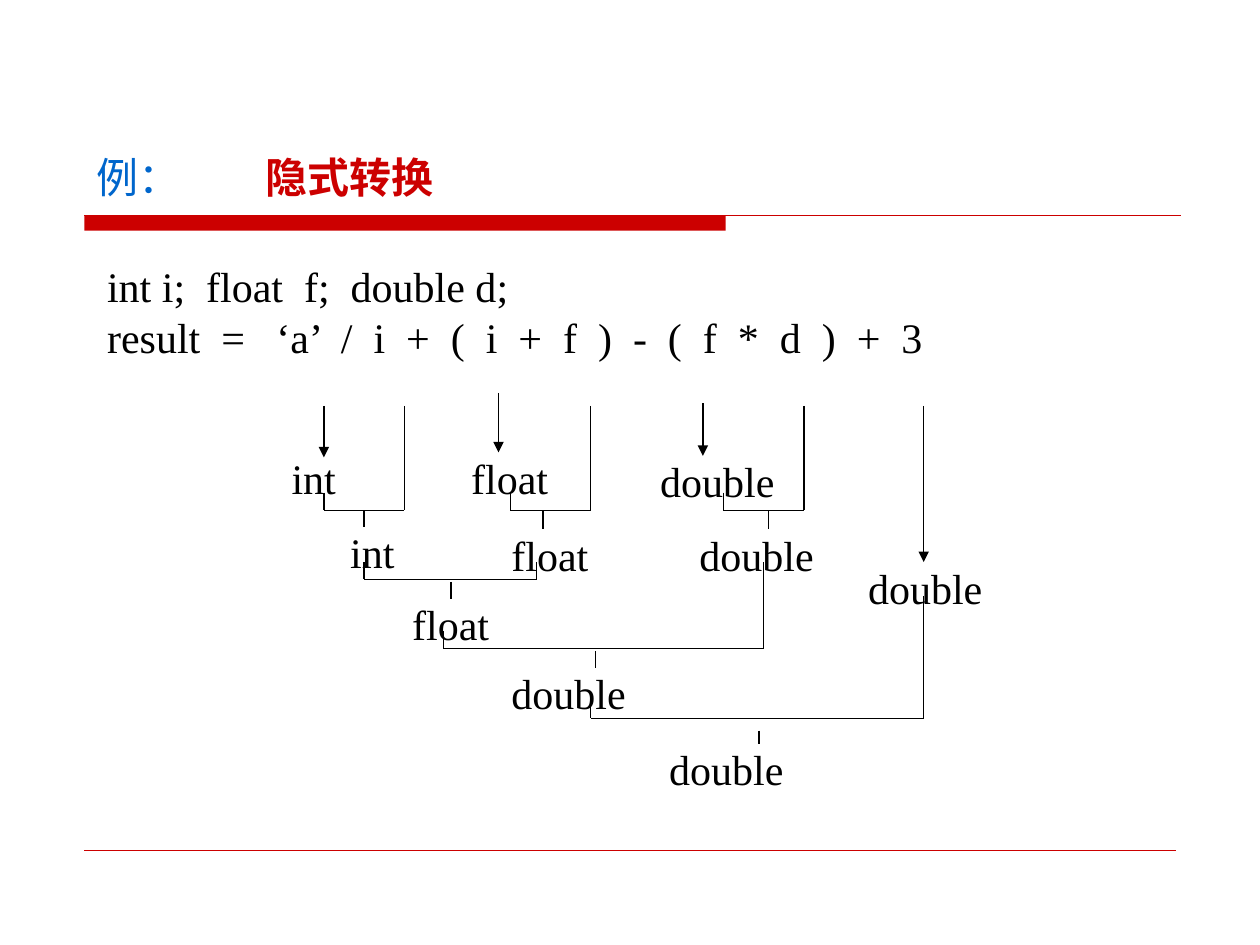
from lxml.etree import SubElement
from pptx import Presentation
from pptx.dml.color import RGBColor
from pptx.enum.shapes import MSO_CONNECTOR, MSO_SHAPE
from pptx.enum.text import PP_ALIGN
from pptx.oxml.ns import qn
from pptx.util import Cm, Pt

RED, BLUE, BLACK = "CC0000", "0066CC", "000000"
SERIF, CJK = "Times New Roman", "Noto Sans CJK SC"
INSET = (0.25, 0.13)

# Headings: text, left, width, font, colour, bold
headings = [
    ("例：", 1.7, 2.54, CJK, BLUE, False),
    ("隐式转换", 5.11, 4.4, SERIF, RED, True),
]
code = [
    "int i;  float  f;  double d;",
    "result  =   ‘a’  /  i  +  (  i  +  f  )  -  (  f  *  d  )  +  3",
]

# Type names: text, left, top, width
operand_types = [
    ("float", 9.5, 9.12, 2.21),
    ("double", 13.31, 9.19, 2.59),
    ("double", 17.5, 11.33, 3.2),
]
result_types = [
    ("int", 7.06, 10.62, 1.07),
    ("float", 10.31, 10.67, 2.59),
    ("double", 14.1, 10.67, 2.79),
    ("float", 8.31, 12.07, 3.2),
    ("double", 10.31, 13.46, 3.4),
    ("double", 13.49, 14.99, 3.61),
]

# Vertical lines: x, top, bottom
conversions = [
    (6.53, 8.18, 9.22), (10.05, 7.92, 9.12),
    (14.17, 8.13, 9.19), (18.62, 8.18, 11.33),
]
stems = [
    (7.34, 10.29, 10.62), (10.95, 10.31, 10.67), (15.49, 10.31, 10.67),
    (9.09, 11.73, 12.07), (12.01, 13.13, 13.46), (15.3, 14.73, 14.99),
]

# Brackets joining two operands: left, left top, right, right top, bottom
brackets = [
    (6.53, 9.93, 8.15, 8.18, 10.29),
    (10.29, 9.93, 11.91, 8.18, 10.29),
    (14.58, 9.93, 16.21, 8.18, 10.29),
    (7.34, 11.33, 10.82, 11.33, 11.68),
    (8.94, 12.73, 15.39, 11.33, 13.08),
    (11.91, 14.12, 18.62, 12.01, 14.48),
]

prs = Presentation()
prs.slide_width, prs.slide_height = Cm(25.4), Cm(19.05)
slide = prs.slides.add_slide(prs.slide_layouts[6])


def color(value):
    return RGBColor.from_string(value)


def add_line(x1, y1, x2, y2, line_color=BLACK, width=0.75, arrow=False):
    line = slide.shapes.add_connector(
        MSO_CONNECTOR.STRAIGHT, Cm(x1), Cm(y1), Cm(x2), Cm(y2))
    line.line.color.rgb = color(line_color)
    line.line.width = Pt(width)
    if arrow:
        SubElement(line.line._get_or_add_ln(), qn("a:tailEnd"), type="triangle")
    SubElement(line._element.spPr, qn("a:effectLst"))


def add_text(lines, left, top, width, height, font=SERIF, text_color=BLACK,
             bold=False, align=PP_ALIGN.LEFT, inset=(0, 0)):
    box = slide.shapes.add_textbox(Cm(left), Cm(top), Cm(width), Cm(height))
    frame = box.text_frame
    frame.word_wrap = True
    frame.margin_left = frame.margin_right = Cm(inset[0])
    frame.margin_top = frame.margin_bottom = Cm(inset[1])
    frame.text = "\n".join(lines)
    for paragraph in frame.paragraphs:
        paragraph.alignment = align
        paragraph.font.size = Pt(24)
        paragraph.font.bold = bold
        paragraph.font.name = font
        paragraph.font.color.rgb = color(text_color)
        SubElement(paragraph._p.pPr.find(qn("a:defRPr")), qn("a:ea"), typeface=CJK)


# Red title rule and footer rule
bar = slide.shapes.add_shape(
    MSO_SHAPE.RECTANGLE, Cm(1.7), Cm(4.34), Cm(12.93), Cm(0.31))
bar.shadow.inherit = False
bar.fill.solid()
bar.fill.fore_color.rgb = color(RED)
bar.line.fill.background()
add_line(1.7, 4.34, 23.8, 4.34, RED)
add_line(1.7, 17.15, 23.7, 17.15, RED, 0.25)

# Headings and code
for text, left, width, font, text_color, bold in headings:
    add_text([text], left, 2.92, width, 1.27, font, text_color, bold, inset=INSET)
add_text(code, 1.91, 5.13, 20.6, 2.39, inset=INSET)

# Conversion tree
for x, top, bottom in conversions:
    add_line(x, top, x, bottom, arrow=True)
for x, top, bottom in stems:
    add_line(x, top, x, bottom)
for left, left_top, right, right_top, bottom in brackets:
    add_line(left, left_top, left, bottom)
    add_line(right, right_top, right, bottom)
    add_line(left, bottom, right, bottom)
add_text(["int"], 5.31, 9.12, 2.03, 0.7, align=PP_ALIGN.CENTER)
for text, left, top, width in operand_types + result_types:
    add_text([text], left, top, width, 0.7)

prs.save("out.pptx")
